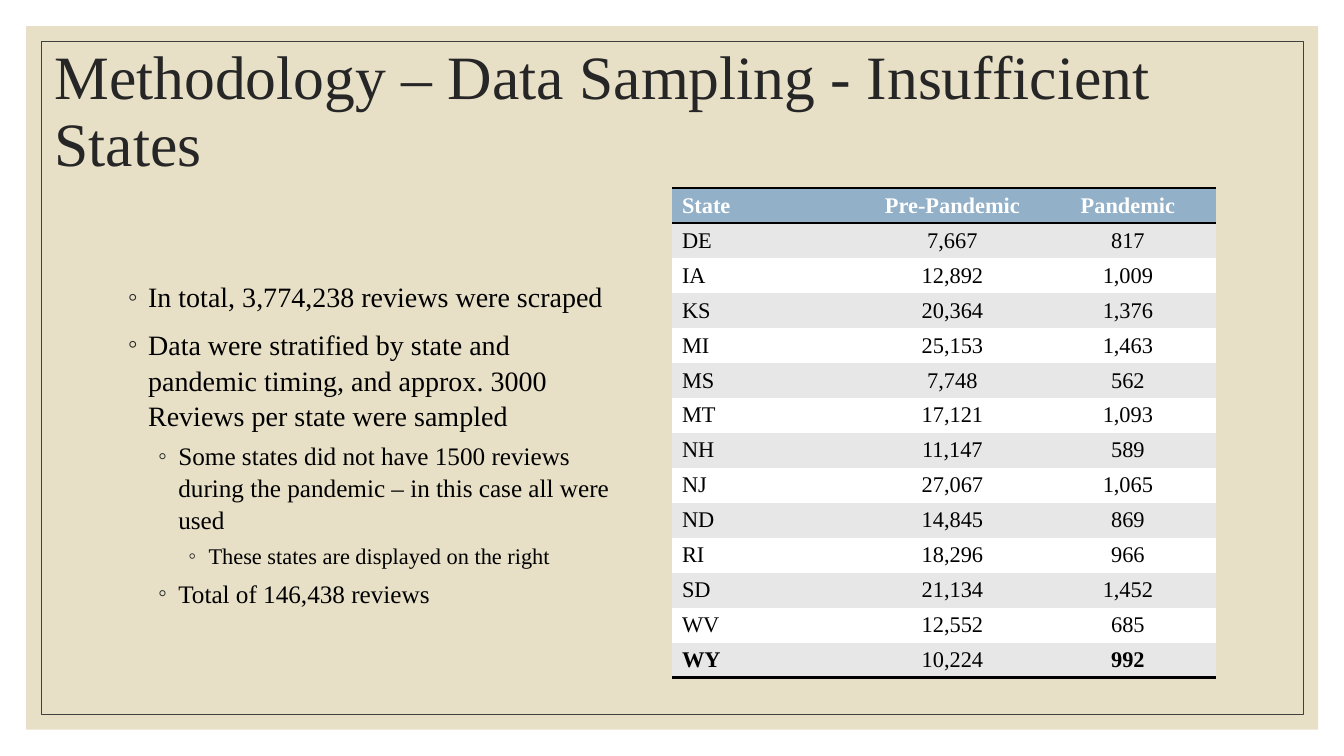
from dataclasses import dataclass

from pptx import Presentation
from pptx.dml.color import RGBColor
from pptx.enum import shapes, text
from pptx.oxml import parse_xml
from pptx.oxml.ns import nsdecls, qn
from pptx.util import Pt


@dataclass(frozen=True)
class Theme:
    font: str = "Times New Roman"
    sand: str = "E7E0C7"
    frame: str = "404040"
    dark: str = "262626"
    ink: str = "000000"
    white: str = "FFFFFF"
    header: str = "92B0C8"
    band: str = "E7E7E7"
    title_size: int = 44
    body_sizes: tuple = (20, 18, 16)
    table_size: int = 16


THEME = Theme()
NO_GRID_STYLE = "{2D5ABB26-0587-4C30-8999-92F81FD0307C}"

BULLETS = [
    (0, "In total, 3,774,238 reviews were scraped"),
    (0, "Data were stratified by state and pandemic timing, and approx. 3000 "
        "Reviews per state were sampled"),
    (1, "Some states did not have 1500 reviews during the pandemic – in this "
        "case all were used"),
    (2, "These states are displayed on the right"),
    (1, "Total of 146,438 reviews"),
]

STATES = [
    ("State", "Pre-Pandemic", "Pandemic"),
    ("DE", "7,667", "817"),
    ("IA", "12,892", "1,009"),
    ("KS", "20,364", "1,376"),
    ("MI", "25,153", "1,463"),
    ("MS", "7,748", "562"),
    ("MT", "17,121", "1,093"),
    ("NH", "11,147", "589"),
    ("NJ", "27,067", "1,065"),
    ("ND", "14,845", "869"),
    ("RI", "18,296", "966"),
    ("SD", "21,134", "1,452"),
    ("WV", "12,552", "685"),
    ("WY", "10,224", "992"),
]


def rgb(value):
    return RGBColor.from_string(value)


def place(sp, box):
    sp.left, sp.top, sp.width, sp.height = (Pt(v) for v in box)


def format_runs(p, size, color, bold=False):
    for r in p.runs:
        r.font.name = THEME.font
        r.font.size = Pt(size)
        r.font.bold = bold
        r.font.color.rgb = rgb(color)


def add_backdrop(s, box, inset):
    """Sand panel with a thin frame set inside it, behind everything else."""
    x, y, w, h = box
    inner = (x + inset, y + inset, w - 2 * inset, h - 2 * inset)
    for depth, rect in enumerate((box, inner)):
        sp = s.shapes.add_shape(shapes.MSO_SHAPE.RECTANGLE, *map(Pt, rect))
        sp.shadow.inherit = False
        if rect is box:
            sp.fill.solid()
            sp.fill.fore_color.rgb = rgb(THEME.sand)
            sp.line.fill.background()
        else:
            sp.fill.background()
            sp.line.color.rgb = rgb(THEME.frame)
            sp.line.width = Pt(0.5)
        s.shapes._spTree.insert(2 + depth, sp._element)


def fill_title(s, box, title):
    sp = s.shapes.title
    place(sp, box)
    tf = sp.text_frame
    tf.text = title
    tf.word_wrap = True
    tf.auto_size = text.MSO_AUTO_SIZE.NONE
    tf.vertical_anchor = text.MSO_ANCHOR.MIDDLE
    p = tf.paragraphs[0]
    p.alignment = text.PP_ALIGN.LEFT
    p.line_spacing = 0.9
    format_runs(p, THEME.title_size, THEME.dark)


def set_bullet(p, left, hanging):
    pPr = p._p.get_or_add_pPr()
    pPr.set("marL", str(Pt(left)))
    pPr.set("indent", str(-Pt(hanging)))
    for xml in (f'<a:buClr {nsdecls("a")}><a:srgbClr val="{THEME.dark}"/></a:buClr>',
                f'<a:buFont {nsdecls("a")} typeface="{THEME.font}"/>',
                f'<a:buChar {nsdecls("a")} char="◦"/>'):
        pPr.append(parse_xml(xml))


def fill_bullets(s, box, items):
    sp = s.placeholders[1]
    place(sp, box)
    tf = sp.text_frame
    tf.word_wrap = True
    tf.auto_size = text.MSO_AUTO_SIZE.NONE
    tf.vertical_anchor = text.MSO_ANCHOR.TOP
    tf.text = "\n".join(words for _, words in items)
    for p, (level, _) in zip(tf.paragraphs, items):
        p.level = level
        p.line_spacing = 1.05
        p.space_before = Pt(5 if level else 9)
        p.space_after = Pt(0)
        set_bullet(p, 14.4 + 21.6 * level, 14.4)
        format_runs(p, THEME.body_sizes[level], THEME.ink)


def add_rule(cell, side):
    cell._tc.get_or_add_tcPr().append(parse_xml(
        f'<a:{side} {nsdecls("a")} w="{Pt(2)}"><a:solidFill>'
        f'<a:srgbClr val="{THEME.ink}"/></a:solidFill></a:{side}>'))


def add_state_table(s, box, rows, widths):
    frame = s.shapes.add_table(len(rows), len(widths), *map(Pt, box))
    table = frame.table
    table._tbl.tblPr.find(qn("a:tableStyleId")).text = NO_GRID_STYLE
    for column, width in zip(table.columns, widths):
        column.width = Pt(width)
    last = len(rows) - 1
    for i, values in enumerate(rows):
        table.rows[i].height = Pt(box[3] / len(rows))
        for j, value in enumerate(values):
            cell = table.cell(i, j)
            cell.text = value
            cell.margin_top = cell.margin_bottom = Pt(3)
            cell.vertical_anchor = text.MSO_ANCHOR.MIDDLE
            # Rules around the header and under the last row
            if i == 0:
                add_rule(cell, "lnT")
            if i in (0, last):
                add_rule(cell, "lnB")
            # Header colour, then alternating bands
            cell.fill.solid()
            cell.fill.fore_color.rgb = rgb(
                THEME.header if i == 0 else THEME.band if i % 2 else THEME.white)
            p = cell.text_frame.paragraphs[0]
            p.alignment = text.PP_ALIGN.CENTER if j else text.PP_ALIGN.LEFT
            format_runs(p, THEME.table_size, THEME.ink if i else THEME.white,
                        bold=i == 0 or (i == last and j != 1))


def build_methodology_slide(prs):
    s = prs.slides.add_slide(prs.slide_layouts[1])
    add_backdrop(s, (18.6, 18.6, 923, 502.6), 10.8)
    fill_title(s, (31.7, 26.6, 896.4, 108),
               "Methodology – Data Sampling - Insufficient States")
    fill_bullets(s, (84.2, 195.1, 370.1, 238.3), BULLETS)
    add_state_table(s, (480, 134.4, 388.4, 350), STATES, (137.6, 125.4, 125.4))


def main():
    prs = Presentation()
    prs.slide_width, prs.slide_height = Pt(960), Pt(540)
    build_methodology_slide(prs)
    prs.save("out.pptx")


if __name__ == "__main__":
    main()
